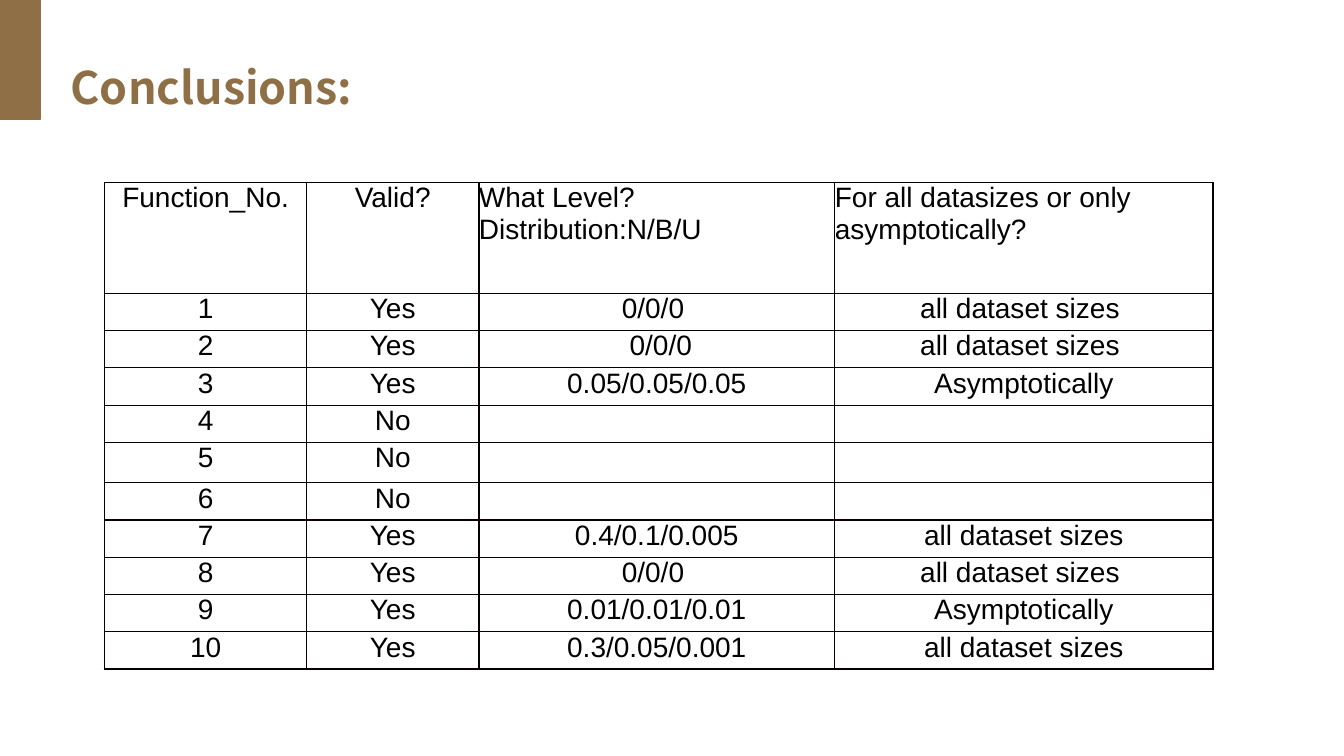
from lxml.etree import SubElement
from pptx import Presentation
from pptx.dml.color import RGBColor
from pptx.enum.shapes import MSO_SHAPE as SHAPE
from pptx.enum.text import MSO_ANCHOR as ANCHOR, PP_ALIGN as ALIGN
from pptx.oxml.ns import qn
from pptx.util import Inches, Pt

TITLE = "Conclusions:"
HEADER = ("Function_No.", "Valid?", "What Level?\nDistribution:N/B/U",
          "For all datasizes or only asymptotically?")
RESULTS = [
    ("Yes", "0/0/0 ", "all dataset sizes "),
    ("Yes", " 0/0/0", "all dataset sizes "),
    ("Yes", "0.05/0.05/0.05", "Asymptotically"),
    ("No", "", ""),
    ("No", "", ""),
    ("No", "", ""),
    ("Yes", "0.4/0.1/0.005", "all dataset sizes"),
    ("Yes", "0/0/0 ", "all dataset sizes "),
    ("Yes", "0.01/0.01/0.01", "Asymptotically"),
    ("Yes", "0.3/0.05/0.001", "all dataset sizes"),
]
COL_WIDTHS = (2, 1.71, 3.53, 3.75)
ROW_HEIGHTS = [1.1] + [0.37] * 4 + [0.4] + [0.37] * 5

BROWN = RGBColor(0x8F, 0x70, 0x46)
BLACK = RGBColor(0, 0, 0)
WHITE = RGBColor(0xFF, 0xFF, 0xFF)
BORDER = RGBColor(0x08, 0, 0)
TITLE_FONT = {"name": "Noto Sans CJK SC", "size": Pt(32), "bold": True}
CELL_FONT = {"name": "Arial", "size": Pt(20), "bold": False}
NO_MARGINS = dict.fromkeys(
    ("margin_left", "margin_top", "margin_right", "margin_bottom"), 0)


def set_all(obj, values):
    """Set every named attribute on an object."""
    for name, value in values.items():
        setattr(obj, name, value)


def format_paragraph(p, font, color, align):
    """Apply font, colour and alignment to a paragraph."""
    p.alignment = align
    set_all(p.font, font)
    p.font.color.rgb = color


def add_borders(cell):
    """Draw a thin line on all four sides of a cell."""
    tc_pr = cell._tc.get_or_add_tcPr()
    for side in "LRTB":
        ln = SubElement(tc_pr, qn(f"a:ln{side}"), w=str(Pt(1)))
        fill = SubElement(ln, qn("a:solidFill"))
        SubElement(fill, qn("a:srgbClr"), val=str(BORDER))


def add_title(s):
    """Place the title and its brown corner bar."""
    title = s.shapes.title
    set_all(title, {"left": Inches(0.6), "top": Inches(0.52),
                    "width": Inches(6.82), "height": Inches(0.66)})
    tf = title.text_frame
    tf.text = TITLE
    tf.vertical_anchor = ANCHOR.BOTTOM
    p = tf.paragraphs[0]
    p.line_spacing = 0.9
    format_paragraph(p, TITLE_FONT, BROWN, ALIGN.LEFT)
    bar = s.shapes.add_shape(SHAPE.RECTANGLE, Inches(-0.01), 0,
                             Inches(0.41), Inches(1.18))
    bar.shadow.inherit = False
    bar.fill.solid()
    bar.fill.fore_color.rgb = BROWN
    bar.line.color.rgb = BROWN
    bar.line.width = Pt(1)


def add_results(s):
    """Build the bordered table of results."""
    rows = [HEADER] + [(str(n), *row) for n, row in enumerate(RESULTS, 1)]
    table = s.shapes.add_table(
        len(rows), len(HEADER), Inches(1.04), Inches(1.81),
        Inches(sum(COL_WIDTHS)), Inches(sum(ROW_HEIGHTS))).table
    set_all(table, {"first_row": False, "horz_banding": False})
    for col, width in zip(table.columns, COL_WIDTHS):
        col.width = Inches(width)
    for row, height in zip(table.rows, ROW_HEIGHTS):
        row.height = Inches(height)
    for r, row in enumerate(rows):
        for c, text in enumerate(row):
            cell = table.cell(r, c)
            set_all(cell, NO_MARGINS)
            add_borders(cell)
            cell.fill.solid()
            cell.fill.fore_color.rgb = WHITE
            cell.text = text
            align = ALIGN.LEFT if r == 0 and c > 1 else ALIGN.CENTER
            for p in cell.text_frame.paragraphs:
                format_paragraph(p, CELL_FONT, BLACK, align)


def main():
    """Build the conclusions slide."""
    prs = Presentation()
    set_all(prs, {"slide_width": Inches(13.33), "slide_height": Inches(7.5)})
    s = prs.slides.add_slide(prs.slide_layouts[5])
    add_title(s)
    add_results(s)
    prs.save("out.pptx")


if __name__ == "__main__":
    main()
